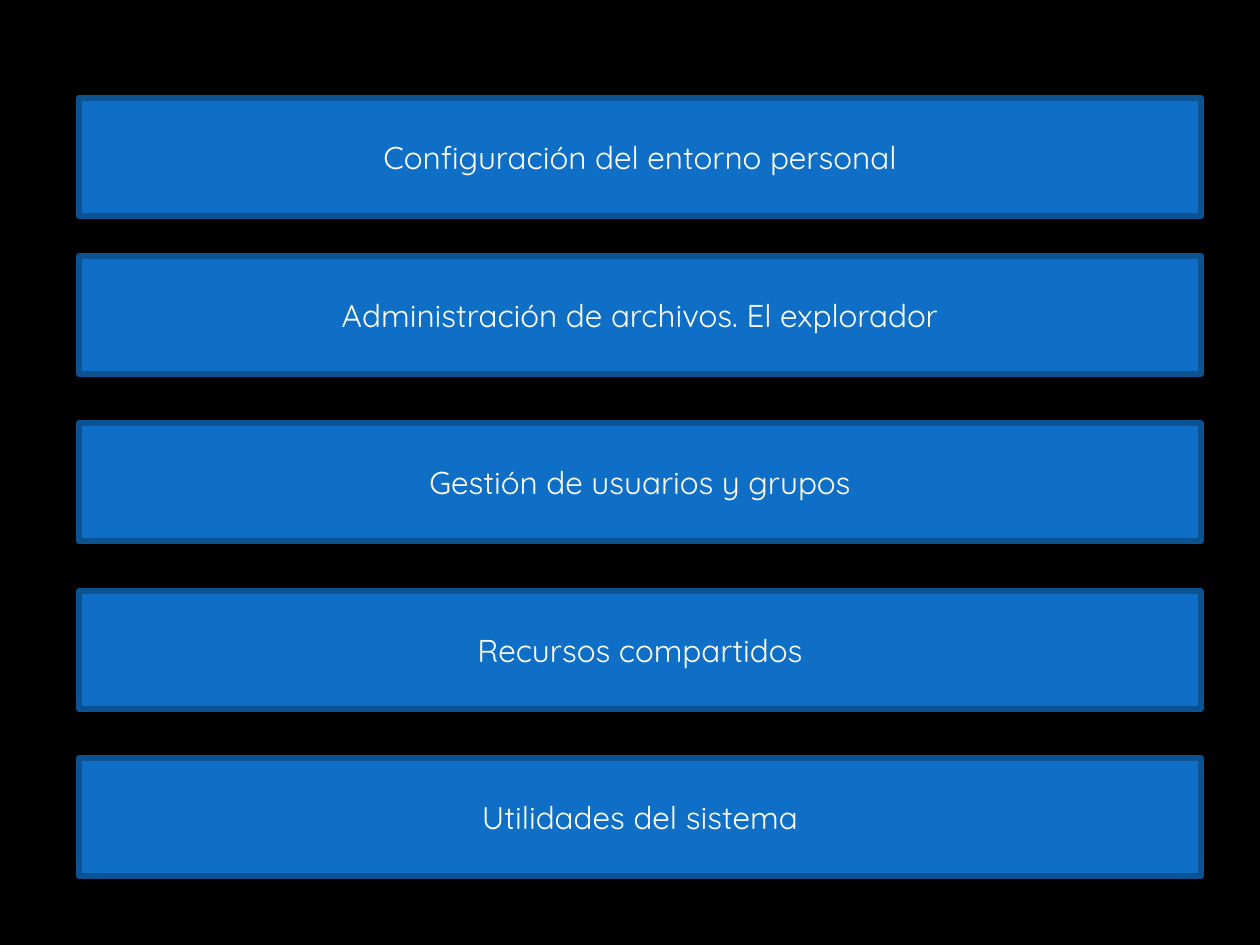
import pptx
import pptx.dml.color
import pptx.enum.shapes
import pptx.enum.text
import pptx.util

PX = pptx.util.Inches(1) // 126
BLACK = pptx.dml.color.RGBColor(0x00, 0x00, 0x00)
BLUE = pptx.dml.color.RGBColor(0x0F, 0x6F, 0xC6)
DARK_BLUE = pptx.dml.color.RGBColor(0x0B, 0x52, 0x92)
WHITE = pptx.dml.color.RGBColor(0xFF, 0xFF, 0xFF)
FONT = "Quicksand"
TOPICS = [
    (98, "Configuración del entorno personal"),
    (256, "Administración de archivos. El explorador"),
    (423, "Gestión de usuarios y grupos"),
    (591, "Recursos compartidos"),
    (758, "Utilidades del sistema"),
]


def add_topic(s, x, y, w, h, text):
    """Draw one topic bar with centred text in the given box."""
    sp = s.shapes.add_shape(
        pptx.enum.shapes.MSO_SHAPE.RECTANGLE, x * PX, y * PX, w * PX, h * PX
    )
    sp.shadow.inherit = False
    sp.fill.solid()
    sp.fill.fore_color.rgb = BLUE
    sp.line.color.rgb = DARK_BLUE
    sp.line.width = pptx.util.Pt(3.35)
    tf = sp.text_frame
    tf.word_wrap = True
    tf.vertical_anchor = pptx.enum.text.MSO_ANCHOR.MIDDLE
    p = tf.paragraphs[0]
    p.alignment = pptx.enum.text.PP_ALIGN.CENTER
    r = p.add_run()
    r.text = text
    r.font.name = FONT
    r.font.size = pptx.util.Pt(18)
    r.font.color.rgb = WHITE


def add_topics(s, x, y, w, h):
    """Stack the topic bars down the given box."""
    for top, text in TOPICS:
        add_topic(s, x, y + top, w, h, text)


def main():
    """Build the slide and save it."""
    prs = pptx.Presentation()
    prs.slide_width = pptx.util.Inches(10)
    prs.slide_height = pptx.util.Inches(7.5)
    s = prs.slides.add_slide(prs.slide_layouts[6])
    s.background.fill.solid()
    s.background.fill.fore_color.rgb = BLACK
    add_topics(s, 79, 0, 1122, 118)
    prs.save("out.pptx")


if __name__ == "__main__":
    main()
